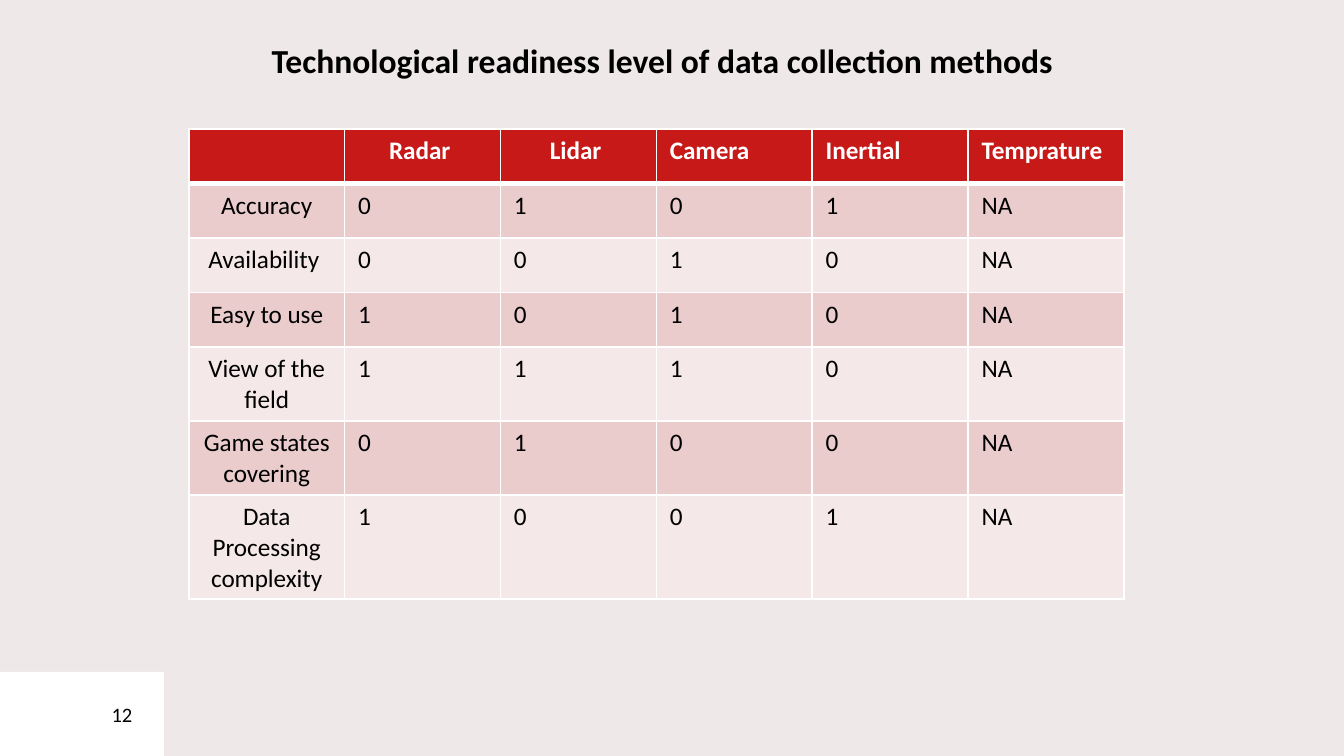
"""Build the slide comparing the readiness of data collection methods."""
from lxml.etree import SubElement
from pptx import Presentation
from pptx.dml.color import RGBColor
from pptx.enum.shapes import MSO_SHAPE
from pptx.enum.text import MSO_ANCHOR, PP_ALIGN
from pptx.oxml import parse_xml
from pptx.oxml.ns import nsdecls, qn
from pptx.util import Pt

TITLE = "Technological readiness level of data collection methods"
PAGE = "12"
HEADER = ["", "Radar ", "Lidar ", "Camera ", "Inertial ", "Temprature"]
ROWS = [
    ("Accuracy", "0", "1", "0", "1", "NA"),
    ("Availability ", "0", "0", "1", "0", "NA"),
    ("Easy to use", "1", "0", "1", "0", "NA"),
    ("View of the field", "1", "1", "1", "0", "NA"),
    ("Game states covering", "0", "1", "0", "0", "NA"),
    ("Data Processing complexity", "1", "0", "0", "1", "NA"),
]
COLORS = {
    "background": "EEE8E8",
    "header": "C81919",
    "odd": "EBCCCC",
    "even": "F5E8E8",
    "white": "FFFFFF",
    "text": "000000",
}
FONT = "Calibri"
COL_W, ROW_H = 83.52, 29.25


def paint(fill, color):
    fill.solid()
    fill.fore_color.rgb = RGBColor.from_string(COLORS[color])


def write(tf, text, size=13.5, color="text", bold=False, align=PP_ALIGN.LEFT, spacing=None):
    tf.word_wrap = True
    p = tf.paragraphs[0]
    p.alignment = align
    if spacing:
        p.line_spacing = Pt(spacing)
    if text:
        r = p.add_run()
        r.text = text
        r.font.name, r.font.size, r.font.bold = FONT, Pt(size), bold
        r.font.color.rgb = RGBColor.from_string(COLORS[color])


def set_insets(tf, left=0):
    tf.margin_left = Pt(left)
    tf.margin_top = tf.margin_right = tf.margin_bottom = 0


def add_borders(cell, **widths):
    tc_pr = cell._tc.get_or_add_tcPr()
    for i, side in enumerate("LRTB"):
        ln = parse_xml(f'<a:ln{side} {nsdecls("a")} w="{Pt(widths.get(side, 1))}"/>')
        fill = SubElement(ln, qn("a:solidFill"))
        SubElement(fill, qn("a:srgbClr"), val=COLORS["white"])
        tc_pr.insert(i, ln)


def add_title(s):
    tf = s.shapes.add_textbox(Pt(57.6), Pt(15.84), Pt(594.72), Pt(42.48)).text_frame
    set_insets(tf)
    write(tf, TITLE, size=18, bold=True, align=PP_ALIGN.CENTER, spacing=27)


def add_readiness_table(s):
    data = [HEADER, *ROWS]
    n_rows, n_cols = len(data), len(HEADER)
    table = s.shapes.add_table(n_rows, n_cols, Pt(101.1), Pt(69.1),
                               Pt(COL_W * n_cols), Pt(ROW_H * n_rows)).table
    for col in table.columns:
        col.width = Pt(COL_W)
    for i, values in enumerate(data):
        table.rows[i].height = Pt(ROW_H)
        head = i == 0
        for j, text in enumerate(values):
            cell = table.cell(i, j)
            paint(cell.fill, "header" if head else "odd" if i % 2 else "even")
            add_borders(cell, T=3 if i == 1 else 1, B=3 if head else 1)
            centered = j == 0 or head and j < 3
            write(cell.text_frame, text, color="white" if head else "text", bold=head,
                  align=PP_ALIGN.CENTER if centered else PP_ALIGN.LEFT)


def add_page_number(s):
    sp = s.shapes.add_shape(MSO_SHAPE.RECTANGLE, 0, Pt(360), Pt(87.84), Pt(45))
    sp.shadow.inherit = False
    paint(sp.fill, "white")
    sp.line.fill.background()
    tf = sp.text_frame
    tf.vertical_anchor = MSO_ANCHOR.MIDDLE
    set_insets(tf, left=59.76)
    write(tf, PAGE, size=11)


def main():
    prs = Presentation()
    prs.slide_width, prs.slide_height = Pt(720), Pt(405)
    s = prs.slides.add_slide(prs.slide_layouts[6])
    paint(s.background.fill, "background")
    add_title(s)
    add_readiness_table(s)
    add_page_number(s)
    prs.save("out.pptx")


if __name__ == "__main__":
    main()
